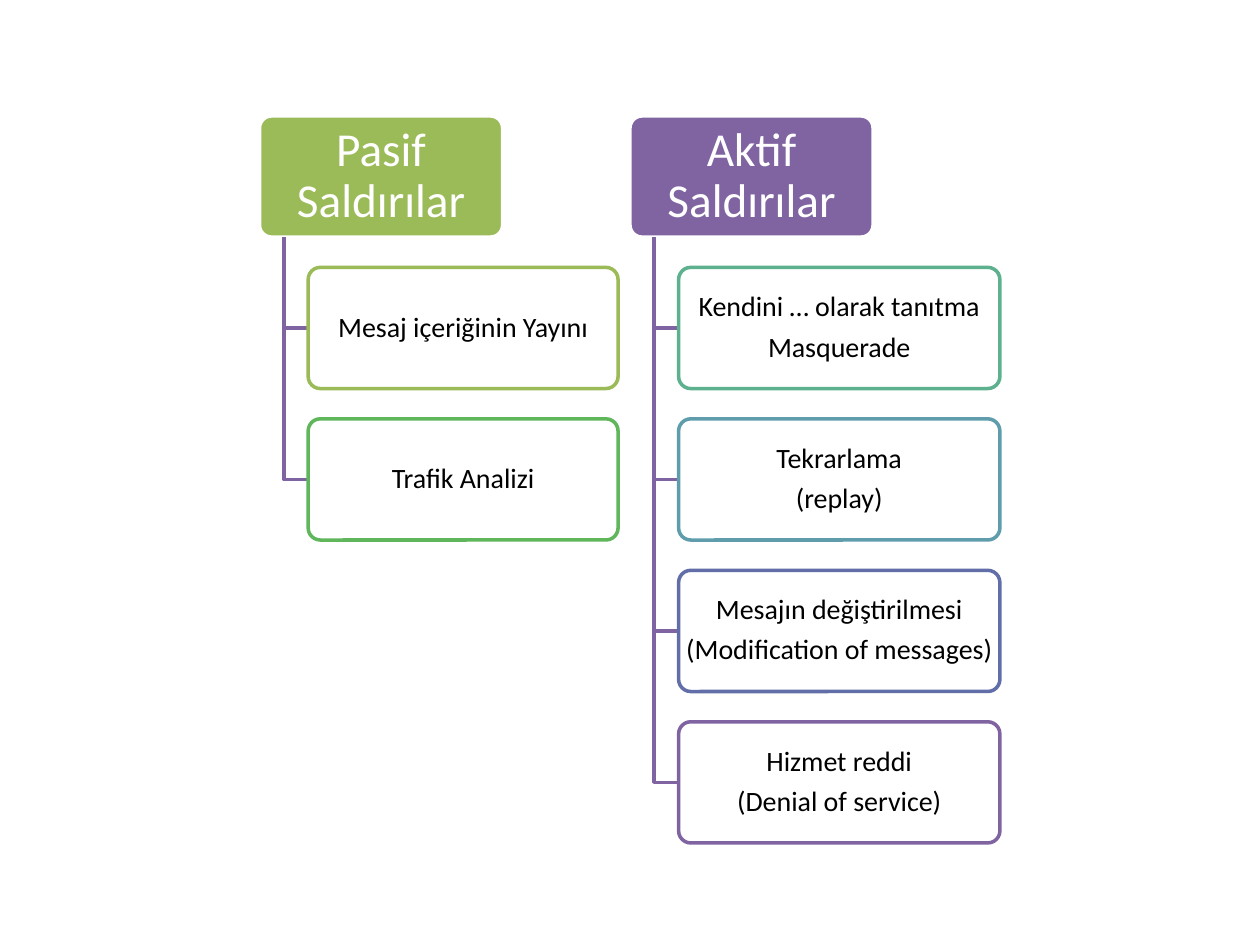
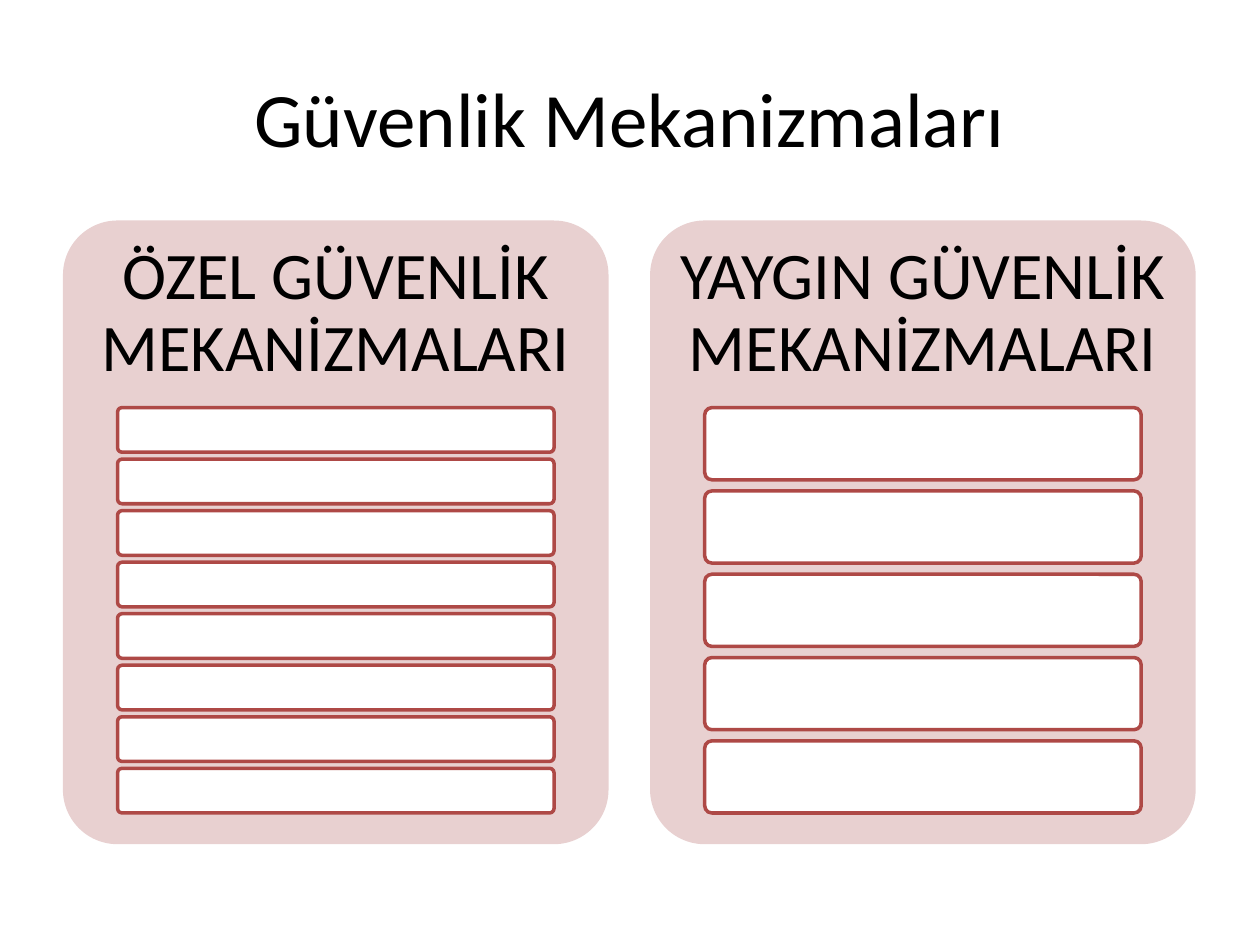
"""Build two slides on security attacks and security mechanisms."""
from dataclasses import dataclass

from lxml import etree
from pptx import Presentation
from pptx import util as u
from pptx.dml.color import RGBColor
from pptx.enum import shapes, text
from pptx.oxml.ns import qn

FONT = "Calibri"
WHITE = RGBColor(0xFF, 0xFF, 0xFF)
BLACK = RGBColor(0x00, 0x00, 0x00)
GREEN = RGBColor(0x9B, 0xBB, 0x59)
LEAF = RGBColor(0x5F, 0xB6, 0x5B)
MINT = RGBColor(0x5D, 0xB1, 0x8E)
TEAL = RGBColor(0x5F, 0x9D, 0xAC)
INDIGO = RGBColor(0x62, 0x6E, 0xA7)
PURPLE = RGBColor(0x80, 0x64, 0xA2)
RED = RGBColor(0xAE, 0x49, 0x46)
ROSE = RGBColor(0xE8, 0xD0, 0xD0)

SLIDE_WIDTH, SLIDE_HEIGHT = 10, 7.5
LINE_WIDTH = 2
TREE_TOP, TREE_BOTTOM = 0.92, 6.69
TREE_ROWS, ROW_PITCH = 5, 1.25
NODE_HEIGHT = (TREE_BOTTOM - TREE_TOP) / ((TREE_ROWS - 1) * ROW_PITCH + 1)
HEAD_WIDTH = 1.93
PANEL_TOP, PANEL_WIDTH, PANEL_HEIGHT = 1.75, 4.33, 4.95
BAR_GAP = 0.154


@dataclass(frozen=True)
class Area:
    left: float
    top: float
    width: float
    height: float

    def emu(self) -> list[int]:
        return [u.Inches(side) for side in (self.left, self.top, self.width, self.height)]


@dataclass(frozen=True)
class Card:
    lines: tuple[str, ...]
    color: RGBColor


@dataclass(frozen=True)
class Tree:
    heading: str
    color: RGBColor
    left: float
    card_width: float
    cards: tuple[Card, ...]


@dataclass(frozen=True)
class Panel:
    heading: str
    left: float
    bars: int


TREES = (
    Tree("Pasif Saldırılar", GREEN, 2.06, 2.46, (
        Card(("Mesaj içeriğinin Yayını",), GREEN),
        Card(("Trafik Analizi",), LEAF),
    )),
    Tree("Aktif Saldırılar", PURPLE, 5, 2.55, (
        Card(("Kendini … olarak tanıtma", "Masquerade"), MINT),
        Card(("Tekrarlama", "(replay)"), TEAL),
        Card(("Mesajın değiştirilmesi", "(Modification of messages)"), INDIGO),
        Card(("Hizmet reddi", "(Denial of service)"), PURPLE),
    )),
)
PANELS = (
    Panel("ÖZEL GÜVENLİK MEKANİZMALARI", 0.5, 8),
    Panel("YAYGIN GÜVENLİK MEKANİZMALARI", 5.16, 5),
)


def write(box, *lines: str, size: float, color: RGBColor = BLACK,
          inset: tuple[float, float] = (0.1, 0.05), spacing: float = 0.9) -> None:
    """Fill a box with centred paragraphs."""
    frame = box.text_frame
    frame.word_wrap = True
    frame.vertical_anchor = text.MSO_ANCHOR.MIDDLE
    frame.margin_left = frame.margin_right = u.Inches(inset[0])
    frame.margin_top = frame.margin_bottom = u.Inches(inset[1])
    for index, line in enumerate(lines):
        para = frame.add_paragraph() if index else frame.paragraphs[0]
        para.alignment = text.PP_ALIGN.CENTER
        para.line_spacing = spacing
        if index < len(lines) - 1:
            para.space_after = u.Pt(size * 0.35)
        span = para.add_run()
        span.text = line
        span.font.name = FONT
        span.font.size = u.Pt(size)
        span.font.color.rgb = color


def add_text(page, area: Area, line: str, **formats) -> None:
    """Place a text box."""
    write(page.shapes.add_textbox(*area.emu()), line, **formats)


def add_rounded(page, area: Area, fill: RGBColor, line: RGBColor | None = None,
                opacity: int = 100):
    """Place a rounded rectangle."""
    box = page.shapes.add_shape(shapes.MSO_SHAPE.ROUNDED_RECTANGLE, *area.emu())
    box.adjustments[0] = 0.1
    box.shadow.inherit = False
    box.fill.solid()
    box.fill.fore_color.rgb = fill
    if opacity < 100:
        tint = box.fill._xPr.find(qn("a:solidFill"))[0]
        etree.SubElement(tint, qn("a:alpha"), val=str(opacity * 1000))
    if line is None:
        box.line.fill.background()
    else:
        box.line.color.rgb = line
        box.line.width = u.Pt(LINE_WIDTH)
    return box


def add_elbow(page, left: float, top: float, right: float, bottom: float) -> None:
    """Draw a branch that runs down and then right."""
    builder = page.shapes.build_freeform(u.Inches(left), u.Inches(top))
    corners = ((left, bottom), (right, bottom))
    builder.add_line_segments([(u.Inches(x), u.Inches(y)) for x, y in corners], close=False)
    branch = builder.convert_to_shape()
    branch.shadow.inherit = False
    branch.fill.background()
    branch.line.color.rgb = PURPLE
    branch.line.width = u.Pt(LINE_WIDTH)


def add_tree(page, tree: Tree) -> None:
    """Draw a heading with its cards hanging below."""
    head = add_rounded(page, Area(tree.left, TREE_TOP, HEAD_WIDTH, NODE_HEIGHT),
                       tree.color, WHITE)
    write(head, tree.heading, size=27, color=WHITE, inset=(0.06, 0.04))
    trunk, card_left = (tree.left + HEAD_WIDTH * share for share in (0.1, 0.2))
    for row, card in enumerate(tree.cards, 1):
        top = TREE_TOP + row * ROW_PITCH * NODE_HEIGHT
        add_elbow(page, trunk, TREE_TOP + NODE_HEIGHT, card_left, top + NODE_HEIGHT / 2)
        box = add_rounded(page, Area(card_left, top, tree.card_width, NODE_HEIGHT),
                          WHITE, card.color, opacity=90)
        write(box, *card.lines, size=16, inset=(0.03, 0.02))


def add_panel(page, panel: Panel) -> None:
    """Draw a panel with a heading and equal empty bars."""
    add_rounded(page, Area(panel.left, PANEL_TOP, PANEL_WIDTH, PANEL_HEIGHT), ROSE)
    add_text(page, Area(panel.left, PANEL_TOP, PANEL_WIDTH, PANEL_HEIGHT * 0.3),
             panel.heading, size=38, inset=(0.16, 0.16))
    height = PANEL_HEIGHT * 0.65 / (panel.bars + BAR_GAP * (panel.bars - 1))
    for row in range(panel.bars):
        top = PANEL_TOP + PANEL_HEIGHT * 0.3 + row * height * (1 + BAR_GAP)
        add_rounded(page, Area(panel.left + PANEL_WIDTH * 0.1, top, PANEL_WIDTH * 0.8, height),
                    WHITE, RED)


def main() -> None:
    """Build and save the deck."""
    deck = Presentation()
    deck.slide_width, deck.slide_height = u.Inches(SLIDE_WIDTH), u.Inches(SLIDE_HEIGHT)
    attacks, mechanisms = (deck.slides.add_slide(deck.slide_layouts[6]) for _ in range(2))
    for tree in TREES:
        add_tree(attacks, tree)
    add_text(mechanisms, Area(0.5, 0.3, SLIDE_WIDTH * 0.9, 1.25),
             "Güvenlik Mekanizmaları", size=44, spacing=1.0)
    for panel in PANELS:
        add_panel(mechanisms, panel)
    deck.save("out.pptx")


if __name__ == "__main__":
    main()
